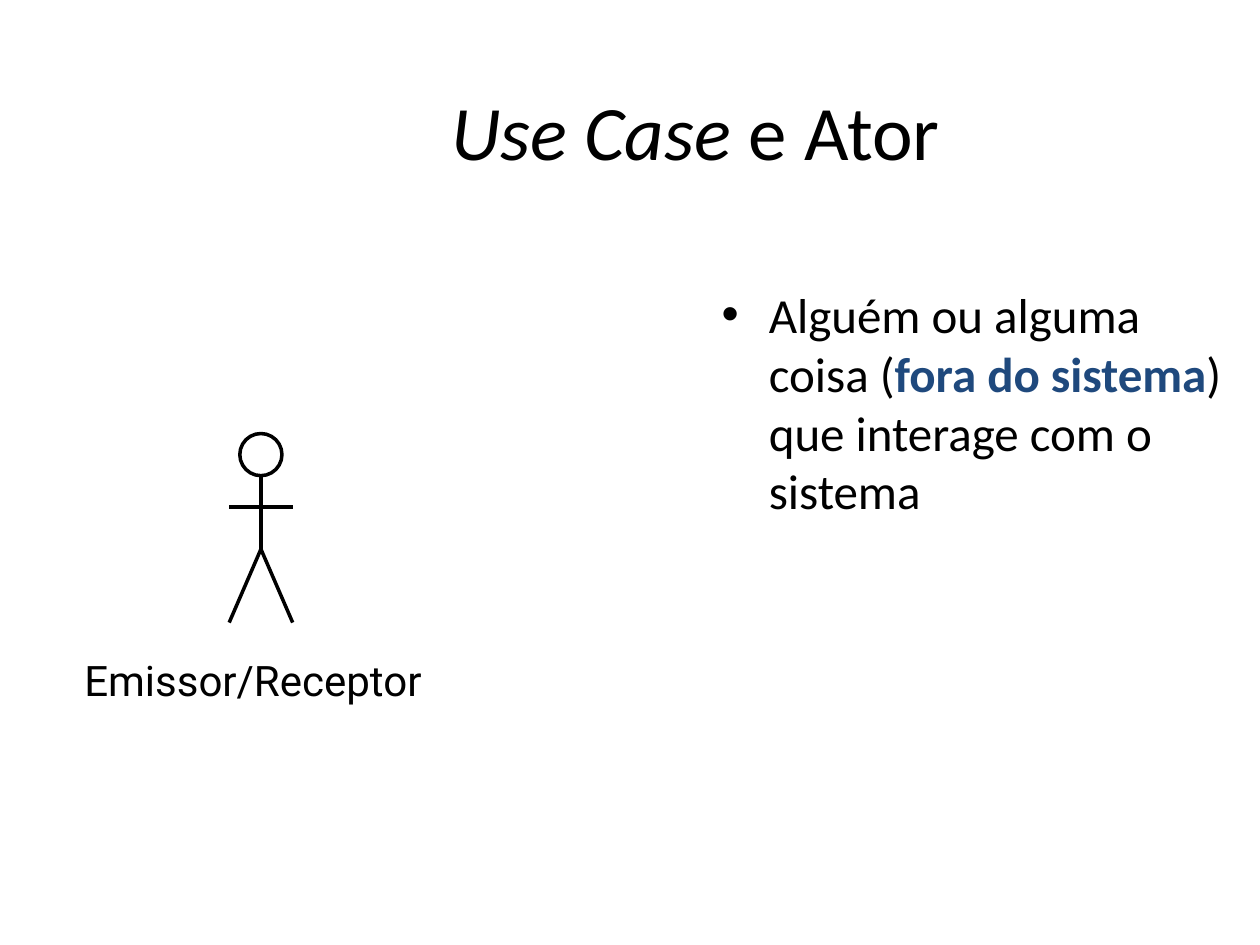
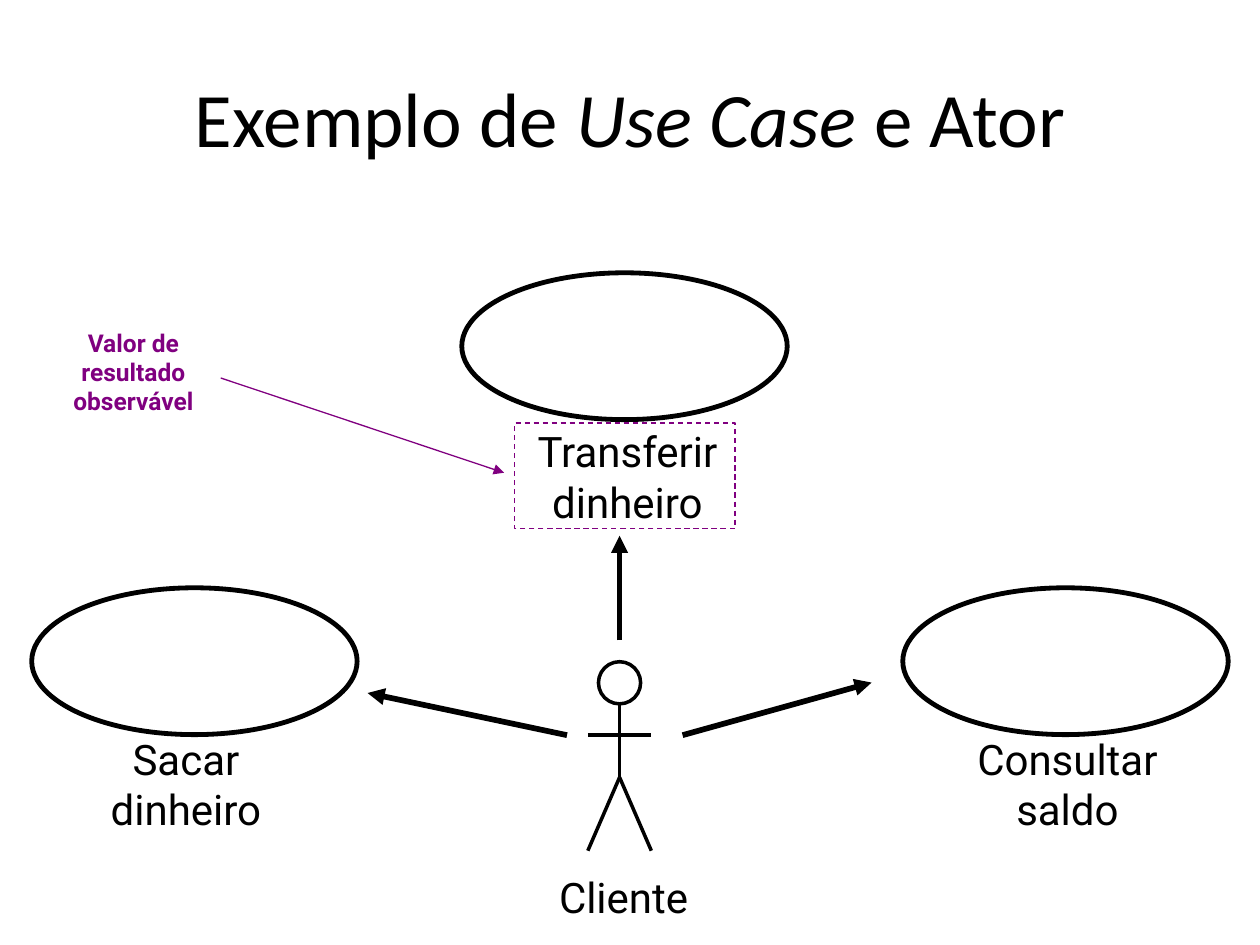
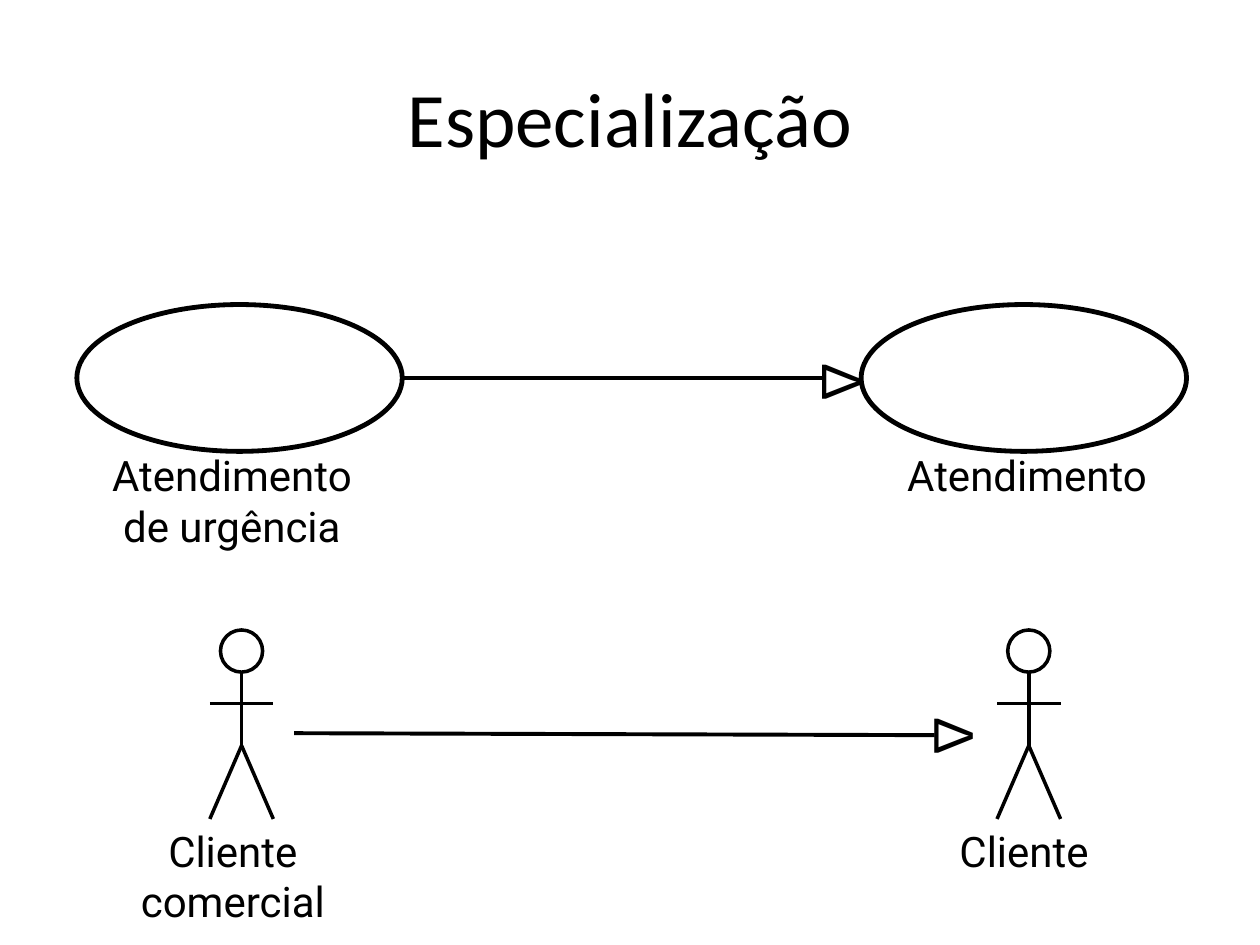
from dataclasses import dataclass
from typing import Optional

from lxml.etree import SubElement
from pptx import Presentation
from pptx.dml.color import RGBColor
from pptx.enum.dml import MSO_LINE
from pptx.enum.shapes import MSO_CONNECTOR as Conn, MSO_SHAPE as Kind
from pptx.enum.text import MSO_ANCHOR as Anchor, MSO_AUTO_SIZE as Fit, PP_ALIGN as Align
from pptx.oxml.ns import qn
from pptx.util import Cm, Pt

BLACK = RGBColor(0x00, 0x00, 0x00)
BLUE = RGBColor(0x1F, 0x49, 0x7D)
PURPLE = RGBColor(0x80, 0x00, 0x80)

HEAD = "Calibri"
BODY = "Roboto"
SIGN = "Arial"

CASE_W, CASE_H = 6.56, 2.96
HEAD_D = 0.85


@dataclass
class Run:
    text: str
    bold: bool = False
    italic: bool = False
    color: Optional[RGBColor] = None


@dataclass
class Label:
    """A text box that fits its lines; lengths in centimetres."""
    text: str
    left: float
    top: float
    width: float
    align: Align = Align.CENTER
    size: int = 24
    font: str = BODY
    color: RGBColor = BLACK
    bold: bool = False
    turn: int = 0


@dataclass
class Line:
    x1: float
    y1: float
    x2: float
    y2: float
    width: float = 2
    color: RGBColor = BLACK
    arrow: bool = False


def write(frame, *paras, size=24, font=BODY, color=BLACK, bold=False,
          align=Align.LEFT, bullet=False) -> None:
    """Fill a text frame; each paragraph is a list of runs."""
    for i, runs in enumerate(paras):
        para = frame.paragraphs[0] if i == 0 else frame.add_paragraph()
        if bullet:
            props = para._p.get_or_add_pPr()
            props.set("marL", str(Cm(0.95)))
            props.set("indent", str(-Cm(0.95)))
            SubElement(props, qn("a:buFont"), typeface=SIGN)
            SubElement(props, qn("a:buChar"), char="•")
        para.alignment = align
        for run in runs:
            part = para.add_run()
            part.text = run.text
            face = part.font
            face.name, face.size = font, Pt(size)
            face.bold, face.italic = bold or run.bold, run.italic
            face.color.rgb = run.color or color


def add_slide(prs, *runs: Run, left=1.27, top=0.76, width=22.86, height=3.18):
    slide = prs.slides.add_slide(prs.slide_layouts[5])
    title = slide.shapes.title
    title.left, title.top = Cm(left), Cm(top)
    title.width, title.height = Cm(width), Cm(height)
    title.text_frame.vertical_anchor = Anchor.MIDDLE
    write(title.text_frame, runs, size=44, font=HEAD, align=Align.CENTER)
    return slide


def add_label(shapes, item: Label) -> None:
    lines = item.text.split("\n")
    height = 0.25 + len(lines) * item.size * 1.2 * 2.54 / 72
    box = shapes.add_textbox(Cm(item.left), Cm(item.top), Cm(item.width), Cm(height))
    box.rotation = item.turn
    box.text_frame.word_wrap = False
    box.text_frame.auto_size = Fit.SHAPE_TO_FIT_TEXT
    write(box.text_frame, *[[Run(line)] for line in lines], size=item.size,
          font=item.font, color=item.color, bold=item.bold, align=item.align)


def add_line(shapes, item: Line) -> None:
    ends = [Cm(n) for n in (item.x1, item.y1, item.x2, item.y2)]
    link = shapes.add_connector(Conn.STRAIGHT, *ends)
    link.line.color.rgb = item.color
    link.line.width = Pt(item.width)
    if item.arrow:
        SubElement(link.line._get_or_add_ln(), qn("a:tailEnd"), type="triangle")
    SubElement(link._element.spPr, qn("a:effectLst"))


def add_outline(shapes, kind, left: float, top: float, width: float, height: float,
                weight: float, color=BLACK, dash=None) -> None:
    shape = shapes.add_shape(kind, Cm(left), Cm(top), Cm(width), Cm(height))
    shape.shadow.inherit = False
    shape.fill.background()
    shape.line.color.rgb = color
    shape.line.width = Pt(weight)
    if dash:
        shape.line.dash_style = dash


def add_case(shapes, left: float, top: float) -> None:
    add_outline(shapes, Kind.OVAL, left, top, CASE_W, CASE_H, 2.75)


def add_actor(shapes, mid: float, top: float) -> None:
    """Draw a stick figure centred on mid."""
    parts = shapes.add_group_shape().shapes
    add_outline(parts, Kind.OVAL, mid - HEAD_D / 2, top, HEAD_D, HEAD_D, 2)
    hip, foot, arm, half = top + 2.33, top + 3.81, top + 1.48, 0.64
    add_line(parts, Line(mid, hip, mid, top + HEAD_D))
    for side in (-half, half):
        add_line(parts, Line(mid + side, foot, mid, hip))
    add_line(parts, Line(mid - half, arm, mid + half, arm))


def add_parent(shapes, line: Line, left: float, top: float) -> None:
    """Draw a line that ends in a hollow triangle."""
    add_line(shapes, line)
    add_label(shapes, Label("Δ", left, top, 1.19, Align.LEFT, 32, SIGN, turn=90))


def build_actor(prs) -> None:
    slide = add_slide(prs, Run("Use Case", italic=True), Run(" e Ator"),
                      left=3.2, top=0.58, width=21.64, height=4.06)
    shapes = slide.shapes
    box = shapes.add_textbox(Cm(14.3), Cm(5.61), Cm(10.62), Cm(11.43))
    box.text_frame.word_wrap = True
    write(box.text_frame,
          [Run("Alguém ou alguma coisa ("),
           Run("fora do sistema", bold=True, color=BLUE),
           Run(") que interage com o sistema")],
          size=28, font=HEAD, bullet=True)
    add_actor(shapes, 5.26, 8.74)
    add_label(shapes, Label("Emissor/Receptor", 1.45, 13.06, 7.54, Align.LEFT))


def build_example(prs) -> None:
    slide = add_slide(prs, Run("Exemplo de "), Run("Use Case", italic=True), Run(" e Ator"))
    shapes = slide.shapes
    for left, top in ((9.31, 5.5), (0.64, 11.85), (18.2, 11.85)):
        add_case(shapes, left, top)
    add_actor(shapes, 12.49, 13.34)
    for label in (
        Label("Cliente", 11.02, 17.45, 3.25, Align.LEFT),
        Label("Transferir\ndinheiro", 10.44, 8.46, 4.42),
        Label("Sacar\ndinheiro", 1.83, 14.66, 3.84),
        Label("Consultar\nsaldo", 19.35, 14.66, 4.34),
        Label("Valor de\nresultado\nobservável", 1.09, 6.48, 3.2,
              size=14, color=PURPLE, bold=True),
    ):
        add_label(shapes, label)
    add_outline(shapes, Kind.RECTANGLE, 10.37, 8.53, 4.45, 2.12, 0.75, PURPLE, MSO_LINE.DASH)
    for line in (
        Line(12.49, 12.91, 12.49, 10.8, 3.25, arrow=True),
        Line(11.43, 14.82, 7.41, 13.97, 3.25, arrow=True),
        Line(13.76, 14.82, 17.57, 13.76, 3.25, arrow=True),
        Line(4.45, 7.62, 10.16, 9.53, 0.75, PURPLE, True),
    ):
        add_line(shapes, line)


def build_special(prs) -> None:
    shapes = add_slide(prs, Run("Especialização")).shapes
    for left in (1.55, 17.36):
        add_case(shapes, left, 6.14)
    for mid in (4.87, 20.74):
        add_actor(shapes, mid, 12.7)
    for label in (
        Label("Atendimento\nde urgência", 1.83, 8.94, 5.69),
        Label("Atendimento", 17.86, 8.94, 5.69),
        Label("Cliente\ncomercial", 2.51, 16.51, 4.37),
        Label("Cliente", 19.02, 16.51, 3.25),
    ):
        add_label(shapes, label)
    add_parent(shapes, Line(8.11, 7.62, 16.59, 7.62, 2.25), 16.43, 6.88)
    add_parent(shapes, Line(5.93, 14.78, 18.84, 14.82, 2.25), 18.69, 14)


def main() -> None:
    prs = Presentation()
    prs.slide_width, prs.slide_height = Cm(25.4), Cm(19.05)
    for build in (build_actor, build_example, build_special):
        build(prs)
    prs.save("out.pptx")


if __name__ == "__main__":
    main()
